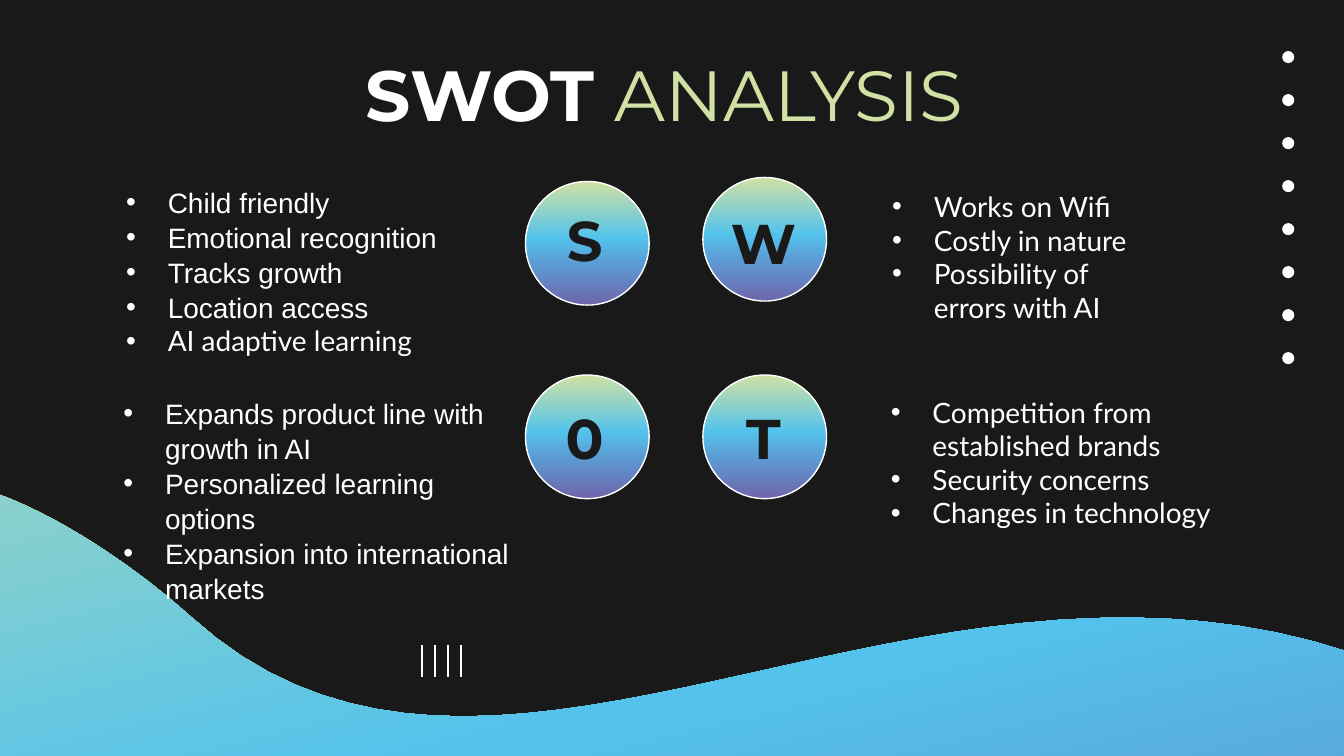
from math import cos, radians, sin

from pptx import Presentation
from pptx.dml.color import RGBColor
from pptx.enum.shapes import MSO_CONNECTOR, MSO_SHAPE
from pptx.enum.text import MSO_ANCHOR, PP_ALIGN
from pptx.oxml import parse_xml
from pptx.oxml.ns import nsdecls, qn
from pptx.util import Inches, Pt

WHITE = RGBColor(0xFF, 0xFF, 0xFF)
DARK = RGBColor(0x19, 0x19, 0x19)
GREEN = RGBColor(0xD0, 0xE1, 0xA3)
BLUE = RGBColor(0x53, 0xC3, 0xEC)
STEEL = RGBColor(0x5C, 0x9C, 0xD5)
PURPLE = RGBColor(0x6E, 0x66, 0xAB)
GRADIENT = [(0, GREEN), (46, BLUE), (66, STEEL), (100, PURPLE)]

TITLE = [("SWOT ", WHITE, True), ("ANALYSIS", GREEN, False)]

# letter, circle corner, letter box corner, list box, [(item, font)]
QUADRANTS = [
    ("S", (3.91, 1.35), (4, 1.43), (0.84, 1.27, 2.89, 1.42), [
        ("Child friendly", "Arial"),
        ("Emotional recognition", "Arial"),
        ("Tracks growth", "Arial"),
        ("Location access", "Arial"),
        ("AI adaptive learning", "Lato")]),
    ("W", (5.23, 1.32), (5.33, 1.45), (6.54, 1.31, 2.18, 1.2), [
        ("Works on Wifi", "Lato"),
        ("Costly in nature", "Lato"),
        ("Possibility of errors with AI", "Lato")]),
    ("0", (3.91, 2.79), (4, 2.9), (0.82, 2.84, 3.15, 1.71), [
        ("Expands product line with growth in AI", "Arial"),
        ("Personalized learning options", "Arial"),
        ("Expansion into international markets", "Arial")]),
    ("T", (5.23, 2.79), (5.33, 2.9), (6.53, 2.84, 2.65, 1.2), [
        ("Competition from established brands", "Lato"),
        ("Security concerns", "Lato"),
        ("Changes in technology", "Lato")]),
]
CIRCLE, LETTER_BOX = 0.92, 0.7
LINE_SPACING = {"Arial": 1.04, "Lato": 1.0}  # evens out the two line heights

# Wave outline as it lies on the slide: 2 numbers for a line, 6 for a curve
WAVE_TILT = 346.2
WAVE_CENTRE = (4.535, 5.835)
WAVE_START = (-0.28, 3.6)
WAVE = [
    (0.25, 3.71, 0.94, 4.16, 1.42, 4.59),
    (3.87, 6.82, 7.45, 3.08, 11.14, 5.37),
    (11.66, 7.49),
    (8.37, 8.3),
    (7.53, 7.72, 3.6, 7.25, 2.84, 7.28),
    (-0.68, 7.42, -0.92, 7.82, -1.69, 7.84),
]
CURVE_STEPS = 40

DOT_COUNT, DOT_STEP, DOT_SIZE = 8, 0.32, 0.09
BAR_COUNT, BAR_SPAN = 4, 0.29


def fill_gradient(shape):
    shape.fill.gradient()
    old = shape.element.spPr.find(qn("a:gradFill"))
    stops = "".join(
        f'<a:gs pos="{pos * 1000}"><a:srgbClr val="{color}"/></a:gs>'
        for pos, color in GRADIENT)
    new = parse_xml(
        f'<a:gradFill {nsdecls("a")} rotWithShape="1"><a:gsLst>{stops}</a:gsLst>'
        '<a:lin ang="5400000" scaled="0"/></a:gradFill>')
    old.getparent().replace(old, new)


def wave_points():
    """Outline points, with the curves cut into short lines."""
    points = [WAVE_START]
    for segment in WAVE:
        if len(segment) == 2:
            points.append(segment)
            continue
        knots = [points[-1], segment[:2], segment[2:4], segment[4:]]
        for step in range(1, CURVE_STEPS + 1):
            t = step / CURVE_STEPS
            weights = ((1 - t) ** 3, 3 * t * (1 - t) ** 2,
                       3 * t * t * (1 - t), t ** 3)
            points.append(tuple(
                sum(w * knot[axis] for w, knot in zip(weights, knots))
                for axis in (0, 1)))
    return points


def untilt(point):
    """Turn a point back, so that the shape's rotation restores it."""
    angle = radians(-WAVE_TILT)
    cx, cy = WAVE_CENTRE
    dx, dy = point[0] - cx, point[1] - cy
    return (Inches(cx + dx * cos(angle) - dy * sin(angle)),
            Inches(cy + dx * sin(angle) + dy * cos(angle)))


def add_wave(shapes):
    start, *rest = [untilt(point) for point in wave_points()]
    builder = shapes.build_freeform(*start)
    builder.add_line_segments(rest, close=True)
    wave = builder.convert_to_shape()
    wave.rotation = WAVE_TILT
    wave.shadow.inherit = False
    fill_gradient(wave)
    wave.line.fill.background()


def add_circle(shapes, left, top, size):
    circle = shapes.add_shape(
        MSO_SHAPE.OVAL, Inches(left), Inches(top), Inches(size), Inches(size))
    circle.shadow.inherit = False
    return circle


def add_text_frame(shapes, *box):
    frame = shapes.add_textbox(*map(Inches, box)).text_frame
    frame.word_wrap = True
    frame.margin_left = frame.margin_right = Inches(0.1)
    frame.margin_top = frame.margin_bottom = Inches(0.1)
    return frame


def style(run, name, size, color, bold=False):
    font = run.font
    font.name, font.size, font.bold = name, Pt(size), bold
    font.color.rgb = color


def add_bullet(paragraph):
    props = paragraph._p.get_or_add_pPr()
    props.set("marL", str(Inches(0.31)))
    props.set("indent", str(-Inches(0.31)))
    props.append(parse_xml(
        f'<a:buClr {nsdecls("a")}><a:srgbClr val="{WHITE}"/></a:buClr>'))
    props.append(parse_xml(f'<a:buFont {nsdecls("a")} typeface="Arial"/>'))
    props.append(parse_xml(f'<a:buChar {nsdecls("a")} char="•"/>'))


def add_list(shapes, box, items):
    frame = add_text_frame(shapes, *box)
    frame.text = "\n".join(item for item, _ in items)
    for paragraph, (_, font_name) in zip(frame.paragraphs, items):
        add_bullet(paragraph)
        paragraph.line_spacing = LINE_SPACING[font_name]
        style(paragraph.runs[0], font_name, 15, WHITE)


def add_letter(shapes, letter, left, top):
    frame = add_text_frame(shapes, left, top, LETTER_BOX, LETTER_BOX)
    frame.vertical_anchor = MSO_ANCHOR.MIDDLE
    frame.text = letter
    frame.paragraphs[0].alignment = PP_ALIGN.CENTER
    style(frame.paragraphs[0].runs[0], "Montserrat", 30, DARK, True)


def main():
    prs = Presentation()
    prs.slide_width = Inches(10)
    prs.slide_height = Inches(10 * 9 / 16)
    slide = prs.slides.add_slide(prs.slide_layouts[6])
    slide.background.fill.solid()
    slide.background.fill.fore_color.rgb = DARK
    shapes = slide.shapes

    add_wave(shapes)

    for i in range(DOT_COUNT):
        dot = add_circle(shapes, 9.54, 0.38 + i * DOT_STEP, DOT_SIZE)
        dot.fill.solid()
        dot.fill.fore_color.rgb = WHITE
        dot.line.fill.background()

    for i in range(BAR_COUNT):
        x = Inches(3.14 + i * BAR_SPAN / (BAR_COUNT - 1))
        bar = shapes.add_connector(
            MSO_CONNECTOR.STRAIGHT, x, Inches(4.8), x, Inches(5.04))
        bar.line.color.rgb = WHITE
        bar.line.width = Pt(1.5)
        bar.element.spPr.append(parse_xml(f'<a:effectLst {nsdecls("a")}/>'))

    for letter, corner, letter_corner, list_box, items in QUADRANTS:
        circle = add_circle(shapes, *corner, CIRCLE)
        fill_gradient(circle)
        circle.line.color.rgb = WHITE
        circle.line.width = Pt(0.75)
        add_letter(shapes, letter, *letter_corner)
        add_list(shapes, list_box, items)

    heading = add_text_frame(shapes, 2.62, 0.28, 4.75, 0.84).paragraphs[0]
    for words, color, bold in TITLE:
        run = heading.add_run()
        run.text = words
        style(run, "Montserrat", 38, color, bold)

    prs.save("out.pptx")


if __name__ == "__main__":
    main()
